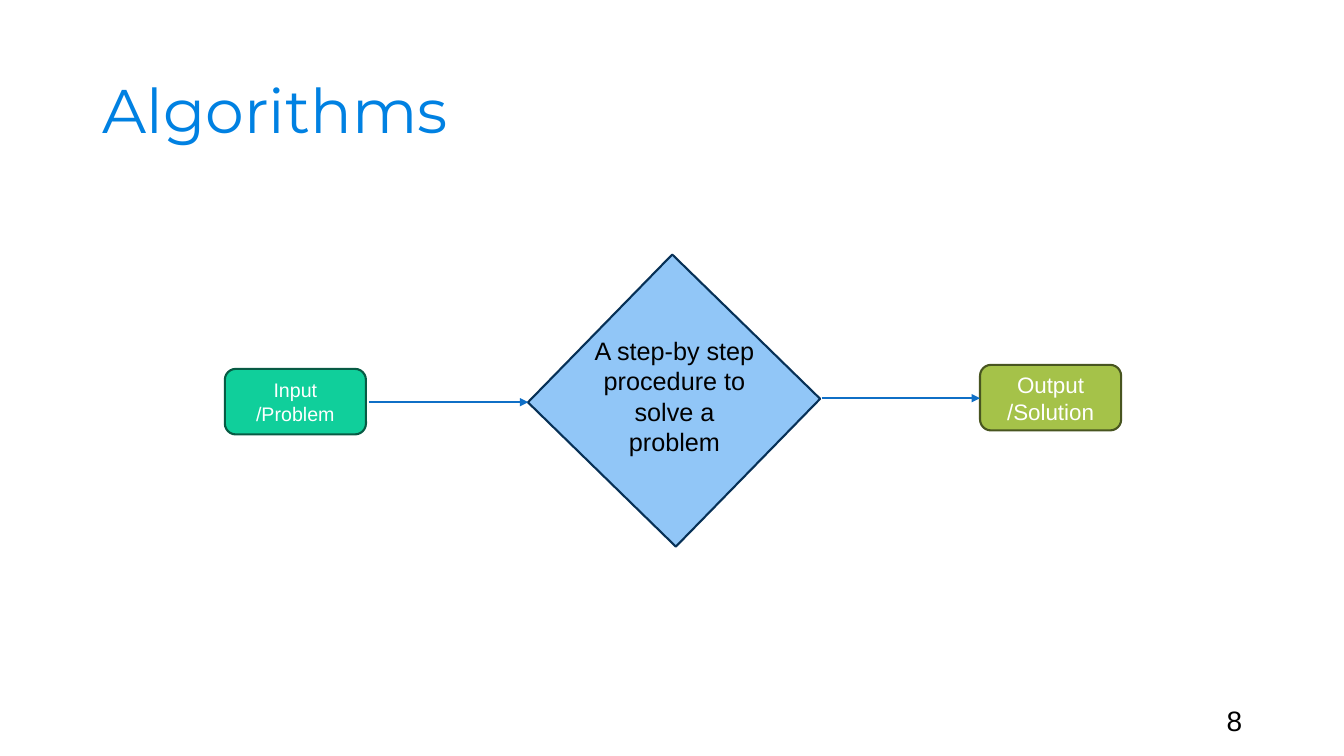
"""Build the Algorithms slide: input, step-by-step procedure, output."""
from lxml.etree import SubElement
from pptx import Presentation
from pptx.dml.color import RGBColor
from pptx.enum.shapes import MSO_CONNECTOR, MSO_SHAPE
from pptx.enum.text import MSO_ANCHOR, MSO_AUTO_SIZE, PP_ALIGN
from pptx.oxml.ns import qn
from pptx.util import Inches, Pt

deck = Presentation()
deck.slide_width, deck.slide_height = Inches(13.33), Inches(7.5)
slide = deck.slides.add_slide(deck.slide_layouts[5])
shapes = slide.shapes
hex_color = RGBColor.from_string


def area(*percents):
    """Turn alternating percentages of slide width and height into lengths."""
    sides = (deck.slide_width, deck.slide_height) * 2
    return [round(side * share / 100) for side, share in zip(sides, percents)]


def write(holder, lines, size, color, align, anchor=MSO_ANCHOR.MIDDLE, font="Arial"):
    """Fill a text holder with one formatted paragraph per line."""
    frame = holder.text_frame
    frame.text = "\n".join(lines)
    frame_format = {"word_wrap": True, "vertical_anchor": anchor,
                    "auto_size": MSO_AUTO_SIZE.NONE}
    for key, value in frame_format.items():
        setattr(frame, key, value)
    for paragraph in frame.paragraphs:
        paragraph.alignment = align
        run_font = paragraph.runs[0].font
        for key, value in {"name": font, "size": Pt(size)}.items():
            setattr(run_font, key, value)
        run_font.color.rgb = hex_color(color)


heading = shapes.title
heading_place = zip(("left", "top", "width", "height"), area(6.9, 5.33, 86.25, 19.33))
for key, value in heading_place:
    setattr(heading, key, value)
write(heading, ["Algorithms"], 44, "0081E2", PP_ALIGN.LEFT, font="Montserrat")
heading.text_frame.paragraphs[0].line_spacing = 0.9

page_number = shapes.add_textbox(*area(70.67, 92.67, 22.5, 5.33))
write(page_number, ["8"], 20, "000000", PP_ALIGN.RIGHT)

steps = [
    (MSO_SHAPE.RECTANGLE, (42.46, 39.33, 15.38, 27.33), 44.3, "91C6F7", "073157", [], 18),
    (MSO_SHAPE.ROUNDED_RECTANGLE, (16.73, 48.8, 10.5, 8.67), 0, "10CF9B", "075B44",
     ["Input /Problem"], 14),
    (MSO_SHAPE.ROUNDED_RECTANGLE, (72.92, 48.27, 10.5, 8.67), 0, "A5C249", "485520",
     ["Output", "/Solution"], 16),
]
for outline, place, rotation, fill, border, label, size in steps:
    step = shapes.add_shape(outline, *area(*place))
    step.rotation = rotation
    step.shadow.inherit = False
    step.fill.solid()
    step.fill.fore_color.rgb = hex_color(fill)
    step.line.color.rgb = hex_color(border)
    step.line.width = Pt(1.5)
    if label:
        write(step, label, size, "FFFFFF", PP_ALIGN.CENTER)

procedure = shapes.add_textbox(*area(42.91, 43.73, 14.55, 17.47))
write(procedure, ["A step-by step procedure to solve a problem"], 18, "000000",
      PP_ALIGN.CENTER, MSO_ANCHOR.TOP)

for start, end, height in [(27.46, 39.31, 53.2), (61.14, 72.92, 52.67)]:
    arrow = shapes.add_connector(MSO_CONNECTOR.STRAIGHT, *area(start, height, end, height))
    arrow.line.color.rgb = hex_color("0F6FC6")
    arrow.line.width = Pt(1.5)
    SubElement(arrow.line._get_or_add_ln(), qn("a:tailEnd"), type="triangle")
    SubElement(arrow._element.spPr, qn("a:effectLst"))

deck.save("out.pptx")
